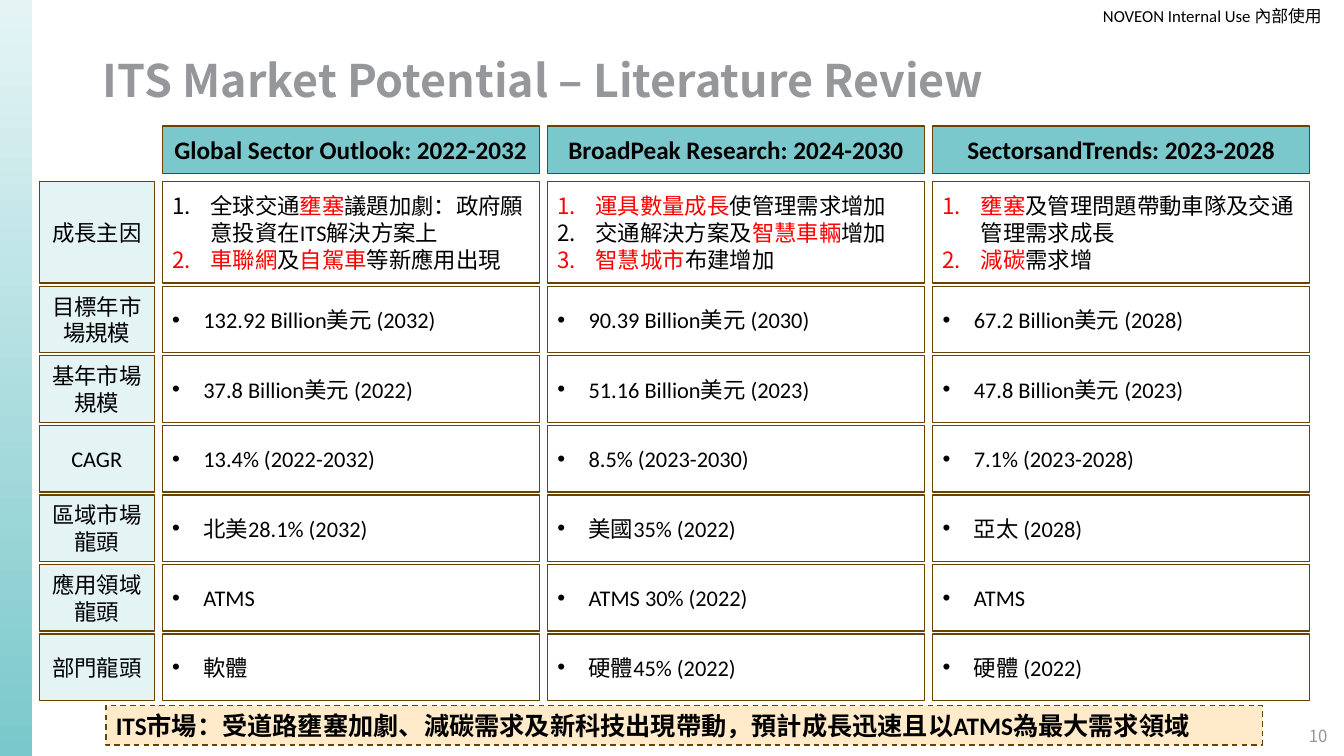
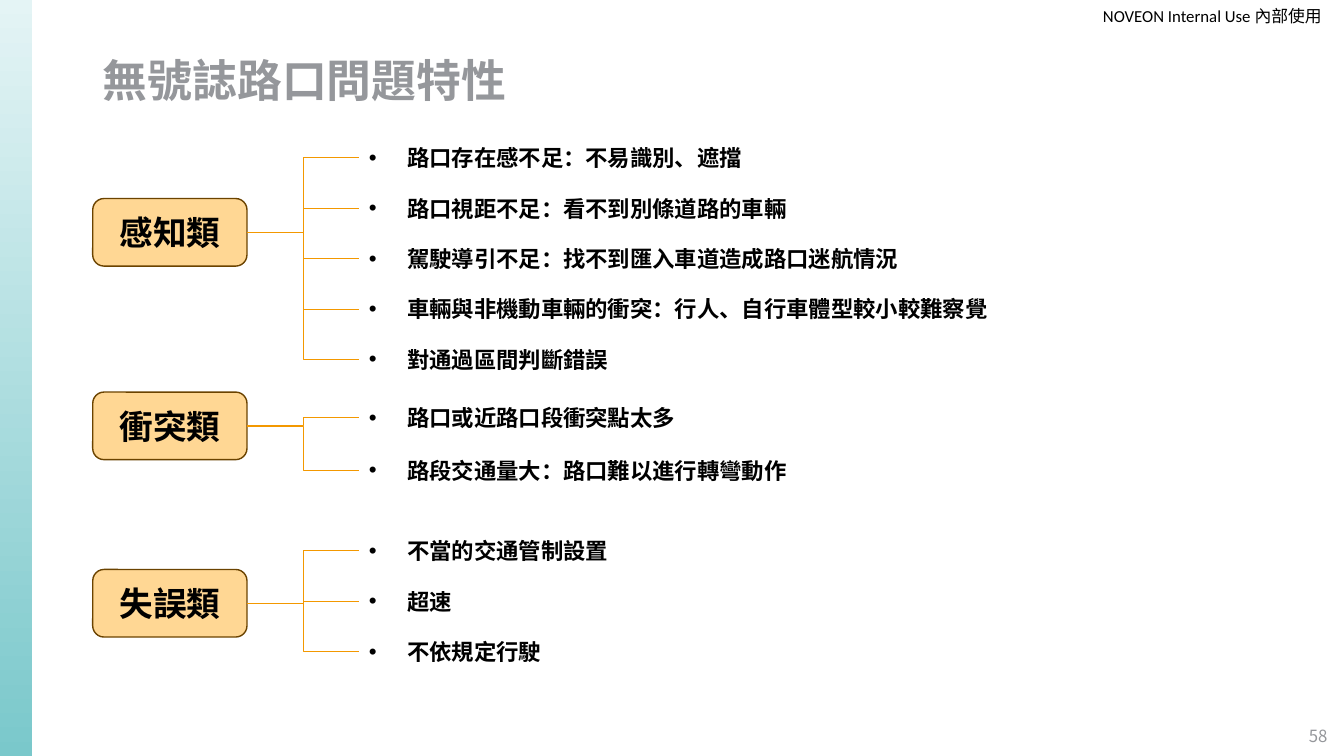
from lxml.etree import SubElement
from pptx import Presentation
from pptx.dml.color import RGBColor
from pptx.enum.dml import MSO_LINE
from pptx.enum.shapes import MSO_CONNECTOR, MSO_SHAPE
from pptx.enum.text import MSO_ANCHOR, MSO_AUTO_SIZE, PP_ALIGN
from pptx.oxml.ns import qn
from pptx.util import Inches, Pt

COLORS = {
    "ink": "000000",
    "accent": "FF0000",
    "gray": "95979B",
    "teal": "7AC8CB",
    "mist": "E4F4F5",
    "brown": "6B4300",
    "orange": "F39800",
    "peach": "FFD794",
    "cream": "FFEBCA",
}
LATIN, CJK, NUMERAL = "Calibri", "Noto Sans CJK TC", "Noto Sans CJK SC"
RIGHT_SITE, LEFT_SITE = 3, 1

SOURCES = [
    "Global Sector Outlook: 2022-2032",
    "BroadPeak Research: 2024-2030",
    "SectorsandTrends: 2023-2028",
]
DRIVERS = [
    ["全球交通*壅塞*議題加劇：政府願意投資在ITS解決方案上", "*車聯網*及*自駕車*等新應用出現"],
    ["*運具數量成長*使管理需求增加", "交通解決方案及*智慧車輛*增加", "*智慧城市*布建增加"],
    ["*壅塞*及管理問題帶動車隊及交通管理需求成長", "*減碳*需求增"],
]
FINDINGS = [
    ("目標年市場規模", ["132.92 Billion美元 (2032)", "90.39 Billion美元 (2030)", "67.2 Billion美元 (2028)"]),
    ("基年市場規模", ["37.8 Billion美元 (2022)", "51.16 Billion美元 (2023)", "47.8 Billion美元 (2023)"]),
    ("CAGR", ["13.4% (2022-2032)", "8.5% (2023-2030)", "7.1% (2023-2028)"]),
    ("區域市場龍頭", ["北美28.1% (2032)", "美國35% (2022)", "亞太 (2028)"]),
    ("應用領域龍頭", ["ATMS", "ATMS 30% (2022)", "ATMS"]),
    ("部門龍頭", ["軟體", "硬體45% (2022)", "硬體 (2022)"]),
]
CONCLUSION = "ITS市場：受道路壅塞加劇、減碳需求及新科技出現帶動，預計成長迅速且以ATMS為最大需求領域"
CATEGORIES = [
    ("感知類", 1.97, 1.38, 0.5, [
        "路口存在感不足：不易識別、遮擋",
        "路口視距不足：看不到別條道路的車輛",
        "駕駛導引不足：找不到匯入車道造成路口迷航情況",
        "車輛與非機動車輛的衝突：行人、自行車體型較小較難察覺",
        "對通過區間判斷錯誤",
    ]),
    ("衝突類", 3.89, 3.96, 0.52, [
        "路口或近路口段衝突點太多",
        "路段交通量大：路口難以進行轉彎動作",
    ]),
    ("失誤類", 5.65, 5.28, 0.5, ["不當的交通管制設置", "超速", "不依規定行駛"]),
]


def rgb(color):
    return RGBColor.from_string(COLORS[color])


class Deck:
    def __init__(self):
        self.presentation = Presentation()
        self.presentation.slide_width = Inches(13.33)
        self.presentation.slide_height = Inches(7.5)
        self.slide = None

    def new_slide(self, heading, number):
        layout = self.presentation.slide_layouts.get_by_name("Title Only")
        self.slide = self.presentation.slides.add_slide(layout)
        band = self.box((0, 0, 0.32, 7.5), border=None)
        band.fill.gradient()
        band.fill.gradient_angle = 270
        for stop, color in zip(band.fill.gradient_stops, ("mist", "teal")):
            stop.color.rgb = rgb(color)
        self.label((10.83, 0, 2.28, 0.32), ["NOVEON Internal Use 內部使用"], margin=0,
                   align=PP_ALIGN.RIGHT, size=12)
        title = self.slide.shapes.title
        self.place(title, (0.92, 0.4, 11.5, 0.85))
        self.set_text(title, [heading], size=32, bold=True, color="gray", face=CJK)
        title.text_frame.paragraphs[0].line_spacing = 0.9
        self.label((12.86, 7.1, 0.43, 0.4), [str(number)], margin=0,
                   align=PP_ALIGN.CENTER, size=12, color="gray", face=NUMERAL)

    def place(self, shape, area):
        for name, length in zip(("left", "top", "width", "height"), area):
            setattr(shape, name, Inches(length))

    def set_text(self, shape, lines, align=PP_ALIGN.LEFT, bullet=None, indent=0.38,
                 margin=None, size=16, bold=False, color="ink", face=LATIN):
        frame = shape.text_frame
        settings = {"word_wrap": True, "auto_size": MSO_AUTO_SIZE.NONE,
                    "vertical_anchor": MSO_ANCHOR.MIDDLE}
        if margin is not None:
            sides = ("left", "right", "top", "bottom")
            settings.update({f"margin_{side}": Inches(margin) for side in sides})
        for name, value in settings.items():
            setattr(frame, name, value)
        for position, line in enumerate(lines):
            paragraph = frame.add_paragraph() if position else frame.paragraphs[0]
            paragraph.alignment = align
            if bullet:
                self.add_bullet(paragraph, bullet, indent)
            for part, words in enumerate(line.split("*")):
                if words:
                    run = paragraph.add_run()
                    run.text = words
                    style = {"name": face, "size": Pt(size), "bold": bold}
                    for name, value in style.items():
                        setattr(run.font, name, value)
                    run.font.color.rgb = rgb("accent" if part % 2 else color)
                    east_asian = NUMERAL if face == NUMERAL else CJK
                    SubElement(run._r.get_or_add_rPr(), qn("a:ea"), typeface=east_asian)

    def add_bullet(self, paragraph, bullet, indent):
        properties = paragraph._p.get_or_add_pPr()
        properties.set("marL", str(Inches(indent)))
        properties.set("indent", str(-Inches(indent)))
        if bullet == "1.":
            SubElement(properties, qn("a:buFont"), typeface="+mj-lt")
            SubElement(properties, qn("a:buAutoNum"), type="arabicPeriod")
        else:
            SubElement(properties, qn("a:buFont"), typeface="Arial")
            SubElement(properties, qn("a:buChar"), char=bullet)

    def label(self, area, lines, **text_style):
        label = self.slide.shapes.add_textbox(*map(Inches, area))
        self.set_text(label, lines, **text_style)
        return label

    def box(self, area, lines=(), fill=None, border="brown", dash=None,
            preset=MSO_SHAPE.RECTANGLE, **text_style):
        box = self.slide.shapes.add_shape(preset, *map(Inches, area))
        box.shadow.inherit = False
        if fill:
            box.fill.solid()
            box.fill.fore_color.rgb = rgb(fill)
        else:
            box.fill.background()
        if border:
            box.line.color.rgb = rgb(border)
            box.line.width = Pt(1)
            box.line.dash_style = dash
        else:
            box.line.fill.background()
        self.set_text(box, lines, **text_style)
        return box

    def branch(self, origin, target):
        branch = self.slide.shapes.add_connector(MSO_CONNECTOR.ELBOW, 0, 0, 0, 0)
        branch.begin_connect(origin, RIGHT_SITE)
        branch.end_connect(target, LEFT_SITE)
        branch.line.color.rgb = rgb("orange")
        branch.line.width = Pt(0.5)
        SubElement(branch._element.spPr, qn("a:effectLst"))


def market_review(deck):
    deck.new_slide("ITS Market Potential – Literature Review", 10)

    def column(index, top, height):
        return 1.61 + 3.82 * index, top, 3.74, height

    def topic(name, top, height):
        deck.box((0.39, top, 1.14, height), [name], fill="mist", align=PP_ALIGN.CENTER)

    for index, source in enumerate(SOURCES):
        deck.box(column(index, 1.25, 0.47), [source], fill="teal",
                 align=PP_ALIGN.CENTER, size=18, bold=True)
    topic("成長主因", 1.8, 1.01)
    for index, reasons in enumerate(DRIVERS):
        deck.box(column(index, 1.8, 1.01), reasons, bullet="1.")
    for row, (name, values) in enumerate(FINDINGS):
        top = 2.84 + 0.69 * row
        topic(name, top, 0.66)
        for index, value in enumerate(values):
            deck.box(column(index, top, 0.66), [value], bullet="•", indent=0.31)
    deck.box((1.05, 7, 11.47, 0.39), [CONCLUSION], fill="cream", dash=MSO_LINE.DASH,
             size=18, bold=True)


def junction_problems(deck):
    deck.new_slide("無號誌路口問題特性", 58)
    for name, category_top, first_top, step, problems in CATEGORIES:
        category = deck.box((0.92, category_top, 1.53, 0.67), [name], fill="peach",
                            preset=MSO_SHAPE.ROUNDED_RECTANGLE,
                            align=PP_ALIGN.CENTER, size=24, bold=True)
        for row, problem in enumerate(problems):
            entry = deck.label((3.56, first_top + step * row, 7, 0.37), [problem],
                               bullet="•", bold=True)
            deck.branch(category, entry)


def main():
    deck = Deck()
    market_review(deck)
    junction_problems(deck)
    deck.presentation.save("out.pptx")


if __name__ == "__main__":
    main()
